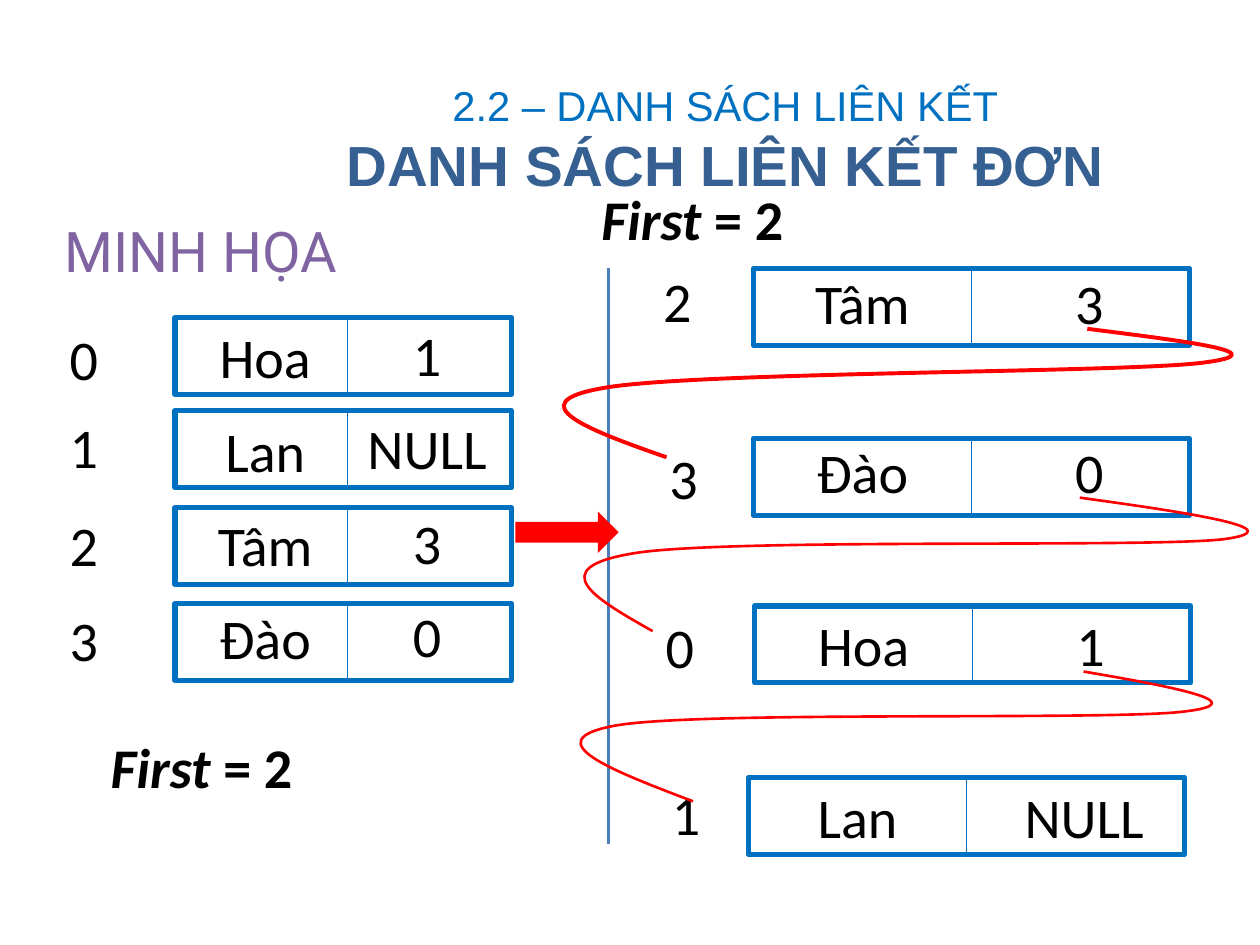
from dataclasses import dataclass

from lxml import etree
from pptx import Presentation
from pptx.dml.color import RGBColor
from pptx.enum.shapes import MSO_CONNECTOR, MSO_SHAPE
from pptx.enum.text import MSO_ANCHOR, MSO_AUTO_SIZE, PP_ALIGN
from pptx.oxml.ns import qn
from pptx.util import Inches, Pt

RECTANGLE = MSO_SHAPE.RECTANGLE
RIGHT_ARROW = MSO_SHAPE.RIGHT_ARROW
STRAIGHT = MSO_CONNECTOR.STRAIGHT
MIDDLE, TOP = MSO_ANCHOR.MIDDLE, MSO_ANCHOR.TOP
CENTER, LEFT = PP_ALIGN.CENTER, PP_ALIGN.LEFT
NO_AUTOFIT = MSO_AUTO_SIZE.NONE

COLORS = {
    "white": "FFFFFF", "black": "000000", "blue": "0070C0", "navy": "376092",
    "purple": "8064A2", "separator": "4B7EBC", "red": "FF0000",
}
NODE_HEIGHT = 0.61
INDEX_SIZE = (1.59, 0.4)


@dataclass
class NodeStyle:
    """Width, divider offset and text cells (offset, width, height, lift) of a node."""
    width: float
    divider: float
    name: tuple
    link: tuple


ARRAY_STYLE = NodeStyle(2.67, 1.37, (0.07, 1.29, 0.42, 0), (1.39, 1.22, 0.34, 0.02))
CHAIN_STYLE = NodeStyle(3.46, 1.73, (0.07, 1.59, 0.4, 0), (1.87, 1.59, 0.4, 0))

# Each node: index, name, link, left, top, text middle, index left, index middle.
ARRAY_NODES = [
    ("0", "Hoa", "1", 1.39, 2.52, 2.83, -0.13, 2.84),
    ("1", "Lan", "NULL", 1.39, 3.26, 3.57, -0.13, 3.54),
    ("2", "Tâm", "3", 1.39, 4.03, 4.32, -0.13, 4.32),
    ("3", "Đào", "0", 1.39, 4.79, 5.06, -0.13, 5.07),
]
CHAIN_NODES = [
    ("2", "Tâm", "3", 5.98, 2.13, 2.4, 4.58, 2.38),
    ("3", "Đào", "0", 5.98, 3.48, 3.74, 4.63, 3.79),
    ("0", "Hoa", "1", 5.99, 4.81, 5.11, 4.6, 5.13),
    ("1", "Lan", "NULL", 5.94, 6.17, 6.48, 4.65, 6.45),
]
# Each curve: line weight, bounds, joined cubic control points.
LINK_CURVES = [
    (1.5, (4.64, 3.95, 5.27, 1.06),
     [(8.57, 3.95), (9.44, 4.07), (10.3, 4.2), (9.71, 4.28), (9.12, 4.35),
      (5.8, 4.27), (5.04, 4.39), (4.29, 4.51), (4.74, 4.76), (5.18, 5.01)]),
    (1.5, (4.61, 5.33, 5.01, 1.03),
     [(8.6, 5.33), (9.3, 5.45), (10, 5.58), (9.38, 5.65), (8.76, 5.72),
      (5.52, 5.64), (4.88, 5.76), (4.23, 5.88), (4.87, 6.12), (5.5, 6.36)]),
    (2.25, (4.48, 2.61, 5.31, 1.03),
     [(8.63, 2.61), (9.41, 2.71), (10.18, 2.8), (9.54, 2.88), (8.91, 2.96),
      (5.5, 2.95), (4.79, 3.08), (4.09, 3.2), (4.69, 3.42), (5.29, 3.63)]),
]


def color(name):
    """Return the named colour."""
    return RGBColor.from_string(COLORS[name])


def place(shape, left, top, width, height):
    """Move and size a shape in inches."""
    shape.left, shape.top = Inches(left), Inches(top)
    shape.width, shape.height = Inches(width), Inches(height)


def prepare_frame(shape, anchor):
    """Set wrapping and anchoring and return the text frame."""
    frame = shape.text_frame
    frame.word_wrap = True
    frame.auto_size = NO_AUTOFIT
    frame.vertical_anchor = anchor
    return frame


def add_run(paragraph, text, size=32, font="Calibri", tint="black", bold=False, italic=False):
    """Add one formatted run."""
    run = paragraph.add_run()
    run.text = text
    run.font.size, run.font.name = Pt(size), font
    run.font.bold, run.font.italic = bold, italic
    run.font.color.rgb = color(tint)


def add_label(slide, left, top, width, height):
    """Add a centred text box and return its paragraph."""
    shape = slide.shapes.add_textbox(Inches(left), Inches(top), Inches(width), Inches(height))
    paragraph = prepare_frame(shape, MIDDLE).paragraphs[0]
    paragraph.alignment = CENTER
    return paragraph


def add_first(slide, left, top, width, height):
    """Add the label that gives the first index."""
    paragraph = add_label(slide, left, top, width, height)
    add_run(paragraph, "First", bold=True, italic=True)
    add_run(paragraph, " = 2", bold=True)


def add_block(slide, preset, left, top, width, height, fill):
    """Add a filled preset shape without shadow."""
    shape = slide.shapes.add_shape(
        preset, Inches(left), Inches(top), Inches(width), Inches(height))
    shape.shadow.inherit = False
    shape.fill.solid()
    shape.fill.fore_color.rgb = color(fill)
    shape.line.fill.background()
    return shape


def add_vertical(slide, left, top, bottom, tint, weight):
    """Add a vertical line."""
    connector = slide.shapes.add_connector(
        STRAIGHT, Inches(left), Inches(top), Inches(left), Inches(bottom))
    connector.line.color.rgb = color(tint)
    connector.line.width = Pt(weight)
    etree.SubElement(connector._element.spPr, qn("a:effectLst"))


def add_node(slide, style, index, name, link, left, top, middle, index_left, index_middle):
    """Add a list node with its name, link and index."""
    box = add_block(slide, RECTANGLE, left, top, style.width, NODE_HEIGHT, "white")
    box.line.color.rgb = color("blue")
    box.line.width = Pt(3)
    add_vertical(slide, left + style.divider, top, top + NODE_HEIGHT, "blue", 0.75)
    for text, (offset, width, height, lift) in ((name, style.name), (link, style.link)):
        cell_top = middle - lift - height / 2
        add_run(add_label(slide, left + offset, cell_top, width, height), text)
    width, height = INDEX_SIZE
    add_run(add_label(slide, index_left, index_middle - height / 2, width, height), index)


def bend_outline(shape, bounds, controls):
    """Replace the outline of a freeform by joined cubic segments."""
    left, top, width, height = bounds
    outline = shape._element.find(".//" + qn("a:path"))
    outline.set("w", str(Inches(width)))
    outline.set("h", str(Inches(height)))
    for child in list(outline):
        outline.remove(child)
    for position, (x, y) in enumerate(controls):
        if position == 0:
            command = etree.SubElement(outline, qn("a:moveTo"))
        elif position % 3 == 1:
            command = etree.SubElement(outline, qn("a:cubicBezTo"))
        etree.SubElement(command, qn("a:pt"),
                         x=str(Inches(x - left)), y=str(Inches(y - top)))


def add_curve(slide, weight, bounds, controls):
    """Add a red open curve."""
    points = [(Inches(x), Inches(y)) for x, y in controls]
    builder = slide.shapes.build_freeform(*points[0])
    builder.add_line_segments(points[1:], close=False)
    shape = builder.convert_to_shape()
    place(shape, *bounds)
    bend_outline(shape, bounds, controls)
    shape.shadow.inherit = False
    shape.fill.background()
    shape.line.color.rgb = color("red")
    shape.line.width = Pt(weight)


def fill_title(title):
    """Write the two title lines."""
    place(title, 2.17, 0.42, 7.17, 1.17)
    frame = prepare_frame(title, MIDDLE)
    section, heading = frame.paragraphs[0], frame.add_paragraph()
    section.alignment = heading.alignment = CENTER
    section.line_spacing = 1.5
    add_run(section, "2.2 – DANH SÁCH LIÊN KẾT", 23.8, "Arial", "blue")
    add_run(heading, "DANH SÁCH LIÊN KẾT ĐƠN", 32.3, "Arial", "navy", bold=True)


def fill_body(body):
    """Write the unbulleted subtitle."""
    place(body, 0.41, 1.67, 3.27, 0.62)
    paragraph = prepare_frame(body, TOP).paragraphs[0]
    properties = paragraph._p.get_or_add_pPr()
    properties.set("marL", "0")
    properties.set("indent", "0")
    etree.SubElement(properties, qn("a:buNone"))
    paragraph.alignment = LEFT
    paragraph.space_before = Pt(0)
    add_run(paragraph, "MINH HỌA", font="Roboto", tint="purple")


def main():
    """Build and save the slide."""
    presentation = Presentation()
    presentation.slide_width, presentation.slide_height = Inches(10), Inches(7.5)
    slide = presentation.slides.add_slide(presentation.slide_layouts[1])
    fill_title(slide.shapes.title)
    fill_body(slide.placeholders[1])
    for node in ARRAY_NODES:
        add_node(slide, ARRAY_STYLE, *node)
    add_first(slide, 0.6, 5.9, 2, 0.36)
    add_vertical(slide, 4.83, 2.13, 6.7, "separator", 1.5)
    for node in CHAIN_NODES:
        add_node(slide, CHAIN_STYLE, *node)
    for curve in LINK_CURVES:
        add_curve(slide, *curve)
    add_block(slide, RIGHT_ARROW, 4.09, 4.06, 0.82, 0.33, "red")
    add_first(slide, 4.15, 1.53, 2.69, 0.4)
    presentation.save("out.pptx")


if __name__ == "__main__":
    main()
